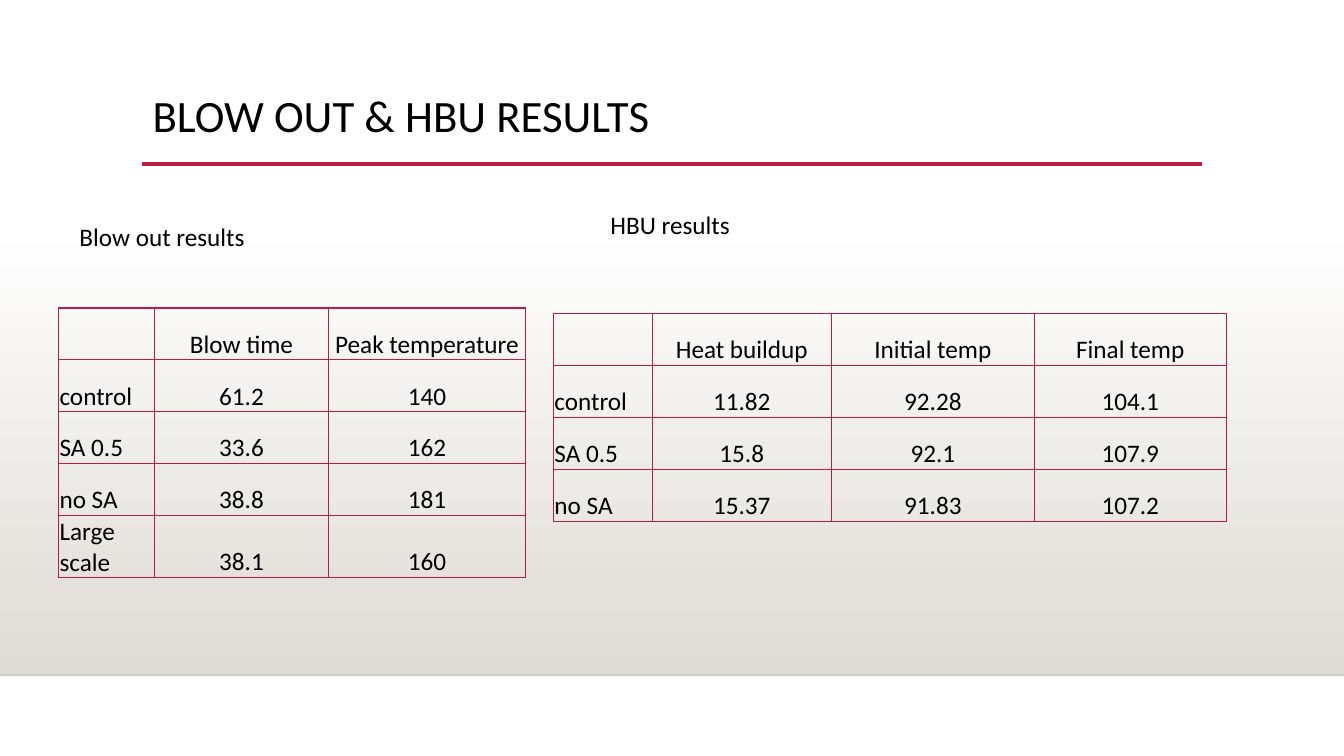
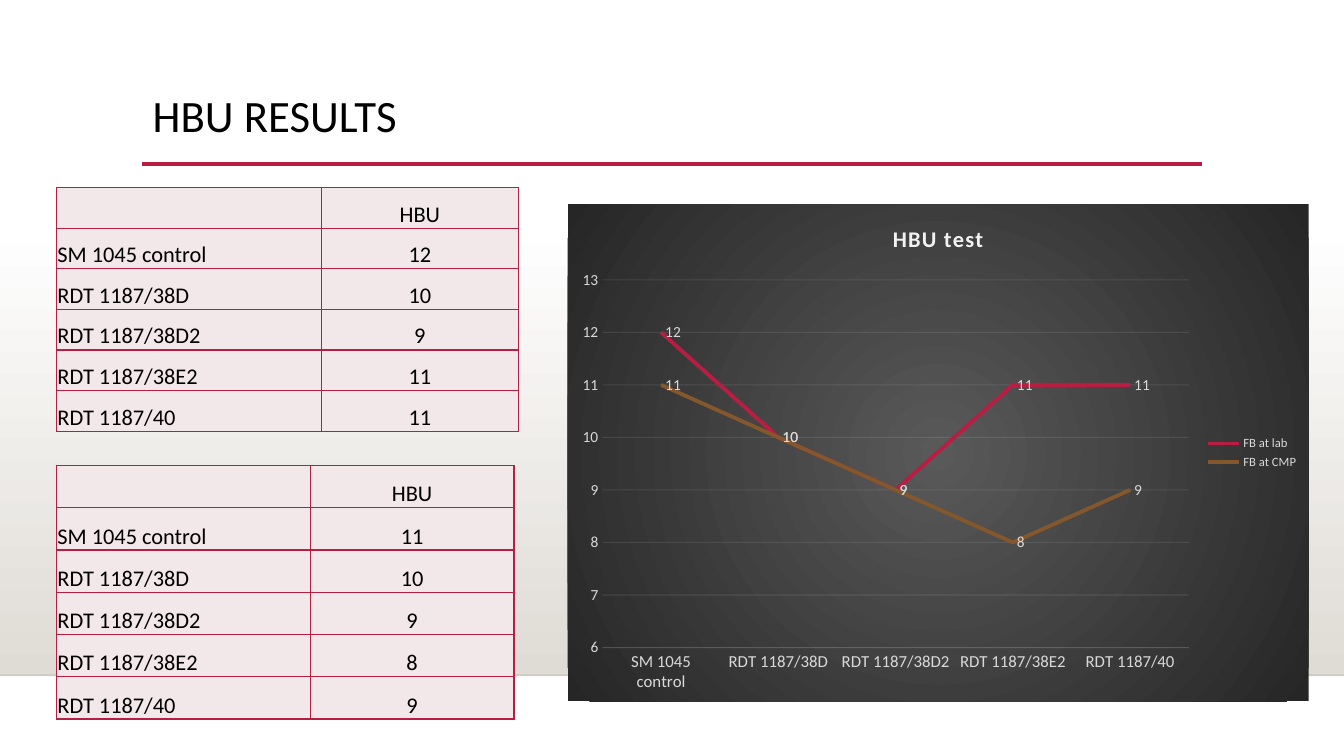
"""Build two slides of blow out and HBU test results."""
from lxml.etree import SubElement
from pptx import Presentation
from pptx.chart.data import CategoryChartData
from pptx.dml.color import RGBColor
from pptx.enum.chart import XL_CHART_TYPE, XL_LEGEND_POSITION, XL_TICK_MARK
from pptx.enum.shapes import MSO_CONNECTOR, MSO_SHAPE
from pptx.enum.text import MSO_ANCHOR, PP_ALIGN
from pptx.oxml import parse_xml
from pptx.oxml.ns import nsdecls, qn
from pptx.util import Pt

RED = RGBColor(0xB7, 0x1E, 0x42)
BROWN = RGBColor(0x84, 0x58, 0x2C)
BLACK = RGBColor(0, 0, 0)
WHITE = RGBColor(255, 255, 255)
SAND = RGBColor(0xDF, 0xDB, 0xD5)
BLUSH = RGBColor(0xF3, 0xE8, 0xE9)
PALE = RGBColor(0xF2, 0xF2, 0xF2)
SILVER = RGBColor(0xD9, 0xD9, 0xD9)
ASH = RGBColor(0x59, 0x59, 0x59)
COAL = RGBColor(0x26, 0x26, 0x26)
FACE = "Calibri"
WIDE, HIGH = 960, 540

LABELS = [("Blow out results", 49.7, 154.8, 278), ("HBU results", 429, 146.2, 360)]
BLOW = [
    ("", "Blow time", "Peak temperature"),
    ("control", "61.2", "140"),
    ("SA 0.5", "33.6", "162"),
    ("no SA", "38.8", "181"),
    ("Large scale", "38.1", "160"),
]
HEAT = [
    ("", "Heat buildup", "Initial temp", "Final temp"),
    ("control", "11.82", "92.28", "104.1"),
    ("SA 0.5", "15.8", "92.1", "107.9"),
    ("no SA", "15.37", "91.83", "107.2"),
]
MIXES = ["SM 1045 control", "RDT 1187/38D", "RDT 1187/38D2", "RDT 1187/38E2", "RDT 1187/40"]
LAB = ("FB at lab", (12, 10, 9, 11, 11), RED)
PLANT = ("FB at CMP", (11, 10, 9, 8, 9), BROWN)


def style(font, size, color=BLACK, bold=False):
    font.name, font.size, font.bold = FACE, Pt(size), bold
    font.color.rgb = color


def fade(node, part):
    for line in node.iter(qn("a:ln")):
        for tint in line.iter(qn("a:srgbClr")):
            SubElement(tint, qn("a:alpha"), val=str(part * 1000))


def add_line(slide, left, right, top, color, width):
    line = slide.shapes.add_connector(
        MSO_CONNECTOR.STRAIGHT, Pt(left), Pt(top), Pt(right), Pt(top))
    line.line.color.rgb = color
    line.line.width = Pt(width)
    SubElement(line._element.spPr, qn("a:effectLst"))
    return line


def add_text(slide, text, left, top, width, height, size, space=1.0):
    frame = slide.shapes.add_textbox(Pt(left), Pt(top), Pt(width), Pt(height)).text_frame
    frame.word_wrap = True
    frame.text = text
    para = frame.paragraphs[0]
    para.line_spacing = space
    style(para.runs[0].font, size)


def add_slide(deck, title):
    slide = deck.slides.add_slide(deck.slide_layouts[6])
    band = slide.shapes.add_shape(MSO_SHAPE.RECTANGLE, 0, Pt(159), Pt(WIDE), Pt(323.4))
    band.shadow.inherit = False
    band.line.fill.background()
    band.fill.gradient()
    band.fill.gradient_angle = 270
    for stop, color in zip(band.fill.gradient_stops, (WHITE, SAND)):
        stop.color.rgb = color
    fade(add_line(slide, 0, WIDE, 482.4, BLACK, 1)._element, 20)
    add_line(slide, 101.5, 858.5, 117, RED, 2.5)
    add_text(slide, title, 102, 63.4, 756, 82.8, 32, 0.9)
    return slide


def edge(cell):
    props = cell._tc.get_or_add_tcPr()
    for spot, side in enumerate("LRTB"):
        props.insert(spot, parse_xml(
            f'<a:ln{side} {nsdecls("a")} w="12700"><a:solidFill>'
            f'<a:srgbClr val="{RED}"/></a:solidFill></a:ln{side}>'))


def add_grid(slide, rows, left, top, cols, step, size, fill=None):
    grid = slide.shapes.add_table(
        len(rows), len(cols), Pt(left), Pt(top), Pt(sum(cols)), Pt(step * len(rows))).table
    grid.first_row = grid.horz_banding = False
    for col, width in zip(grid.columns, cols):
        col.width = Pt(width)
    for row, words in zip(grid.rows, rows):
        row.height = Pt(step)
        for spot, (cell, word) in enumerate(zip(row.cells, words)):
            cell.margin_left = cell.margin_right = cell.margin_top = Pt(0.75)
            cell.margin_bottom = 0
            cell.vertical_anchor = MSO_ANCHOR.BOTTOM
            if fill is None:
                cell.fill.background()
            else:
                cell.fill.solid()
                cell.fill.fore_color.rgb = fill
            edge(cell)
            cell.text = word
            para = cell.text_frame.paragraphs[0]
            para.alignment = PP_ALIGN.CENTER if spot else PP_ALIGN.LEFT
            for run in para.runs:
                style(run.font, size)


def add_plot(slide, left, top, width, height):
    data = CategoryChartData()
    data.categories = MIXES
    for name, vals, _ in (LAB, PLANT):
        data.add_series(name, vals)
    chart = slide.shapes.add_chart(
        XL_CHART_TYPE.LINE, Pt(left), Pt(top), Pt(width), Pt(height), data).chart
    style(chart.font, 10)
    chart._chartSpace.chart.addnext(parse_xml(
        f'<c:spPr {nsdecls("c", "a")}><a:gradFill><a:gsLst>'
        f'<a:gs pos="0"><a:srgbClr val="{ASH}"/></a:gs>'
        f'<a:gs pos="100000"><a:srgbClr val="{COAL}"/></a:gs></a:gsLst>'
        '<a:path path="circle"><a:fillToRect l="50000" t="50000" r="50000" b="50000"/>'
        '</a:path></a:gradFill><a:ln><a:noFill/></a:ln></c:spPr>'))
    chart.has_title = True
    chart.chart_title.text_frame.text = "HBU test"
    font = chart.chart_title.text_frame.paragraphs[0].runs[0].font
    style(font, 16, PALE, True)
    font._element.set("spc", "100")
    chart.has_legend = True
    chart.legend.position = XL_LEGEND_POSITION.RIGHT
    chart.legend.include_in_layout = False
    style(chart.legend.font, 9, SILVER)

    base, scale = chart.category_axis, chart.value_axis
    scale.minimum_scale, scale.maximum_scale, scale.major_unit = 6, 13, 1
    for line in (base.format.line, scale.major_gridlines.format.line):
        line.color.rgb = PALE
        line.width = Pt(0.75)
    scale.format.line.fill.background()
    for axis, size in ((base, 12), (scale, 11)):
        fade(axis._element, 10)
        axis.major_tick_mark = XL_TICK_MARK.NONE
        style(axis.tick_labels.font, size, SILVER)

    plot = chart.plots[0]
    plot.vary_by_categories = False
    for trend, (_, _, color) in zip(plot.series, (LAB, PLANT)):
        trend.smooth = False
        trend.format.line.color.rgb = color
        trend.format.line.width = Pt(2.75)
        trend.data_labels.show_value = True
        style(trend.data_labels.font, 11, SILVER)


def main():
    deck = Presentation()
    deck.slide_width, deck.slide_height = Pt(WIDE), Pt(HIGH)

    slide = add_slide(deck, "BLOW OUT & HBU RESULTS")
    add_grid(slide, BLOW, 41.8, 220, (68.4, 124.6, 140.4), 37.1, 18)
    add_grid(slide, HEAT, 395.3, 224, (70.6, 128, 145, 137), 37.1, 18)
    for text, left, top, width in LABELS:
        add_text(slide, text, left, top, width, 29, 18)

    slide = add_slide(deck, "HBU RESULTS")
    add_plot(slide, 405.5, 146, 529.2, 355)
    for (_, vals, _), top, cols, step in (
            (LAB, 134, (189.4, 140.4), 29), (PLANT, 332.5, (181.4, 145.4), 30.2)):
        rows = [("", "HBU")] + [(mix, str(val)) for mix, val in zip(MIXES, vals)]
        add_grid(slide, rows, 40.3, top, cols, step, 16, BLUSH)

    deck.save("out.pptx")


if __name__ == "__main__":
    main()
